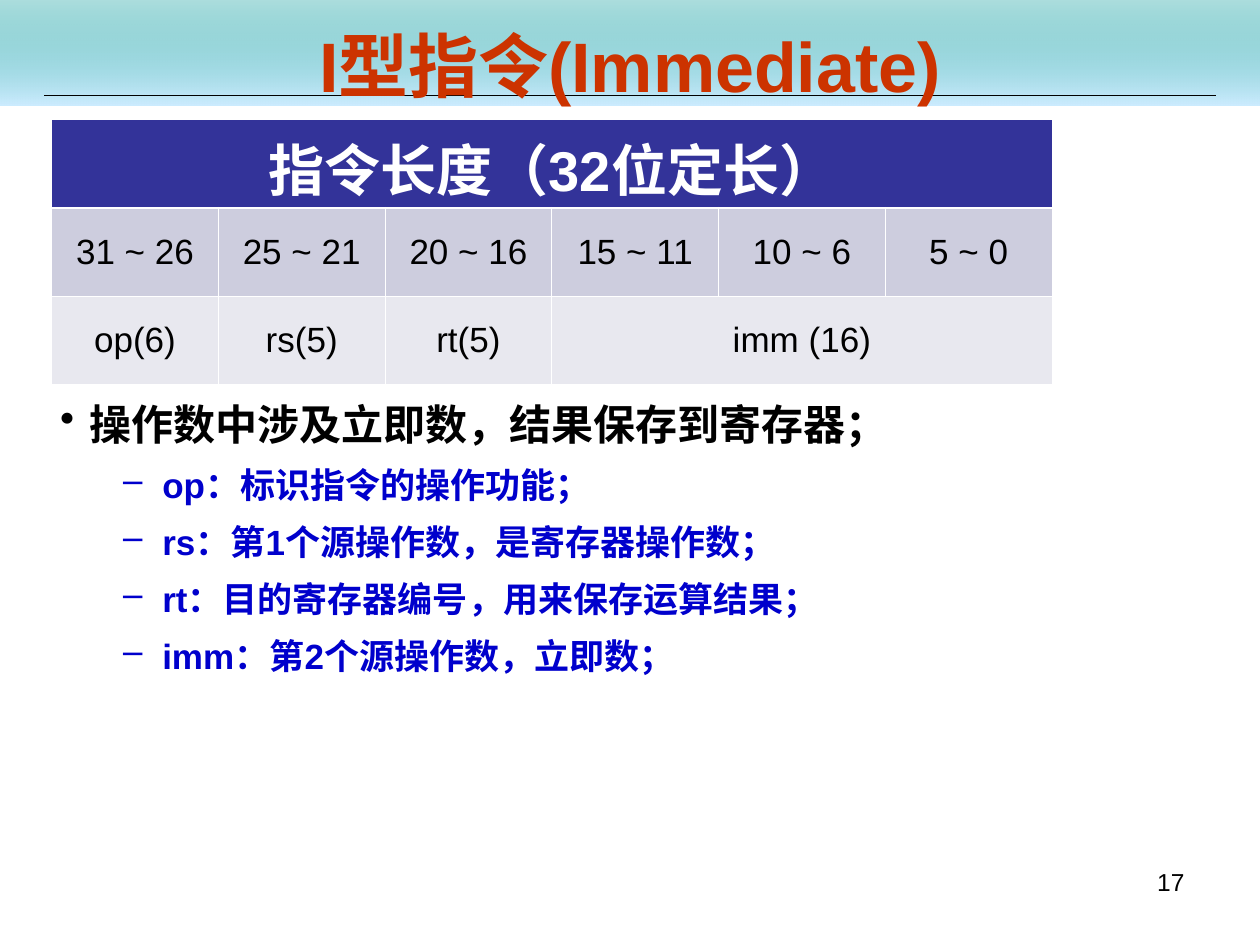
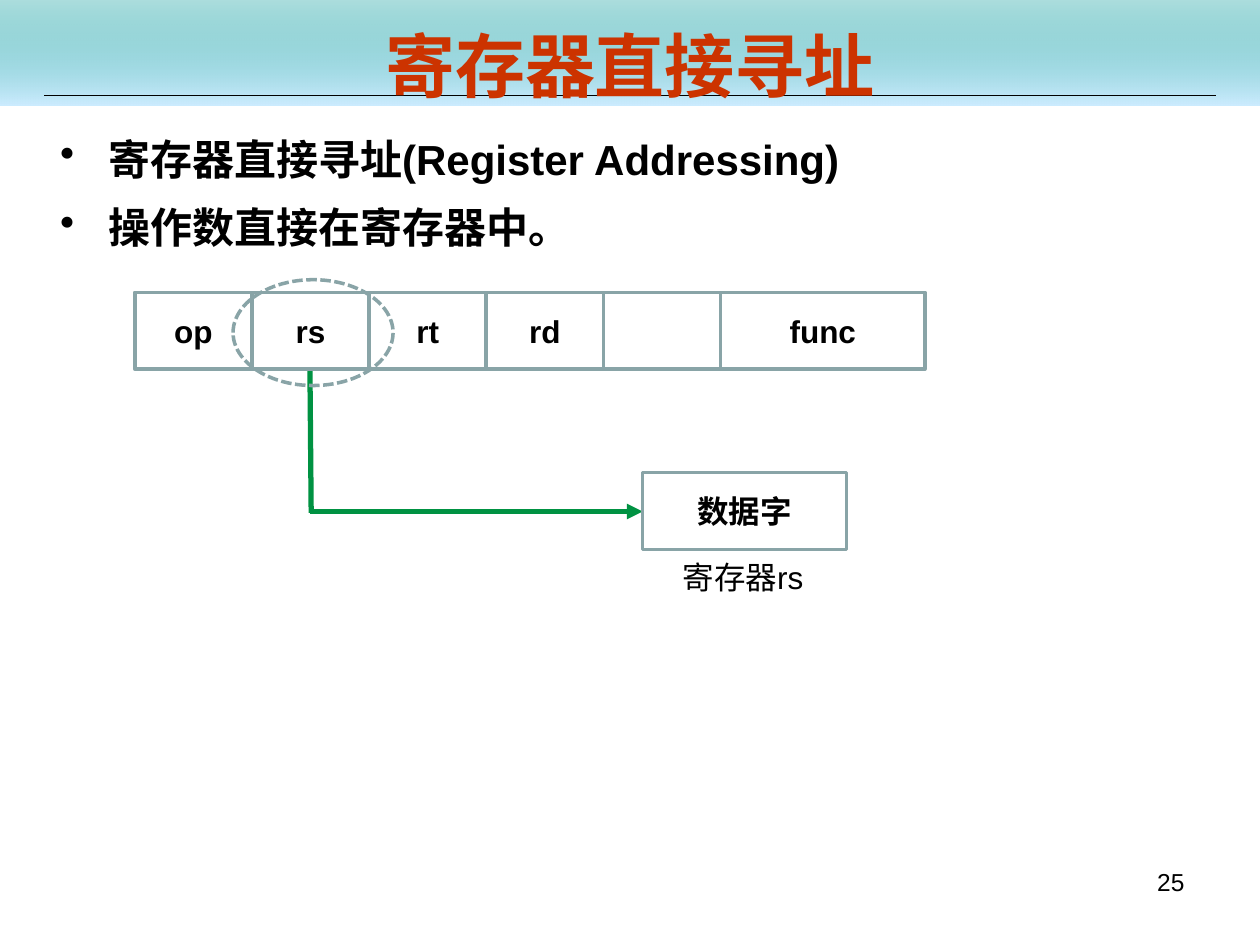
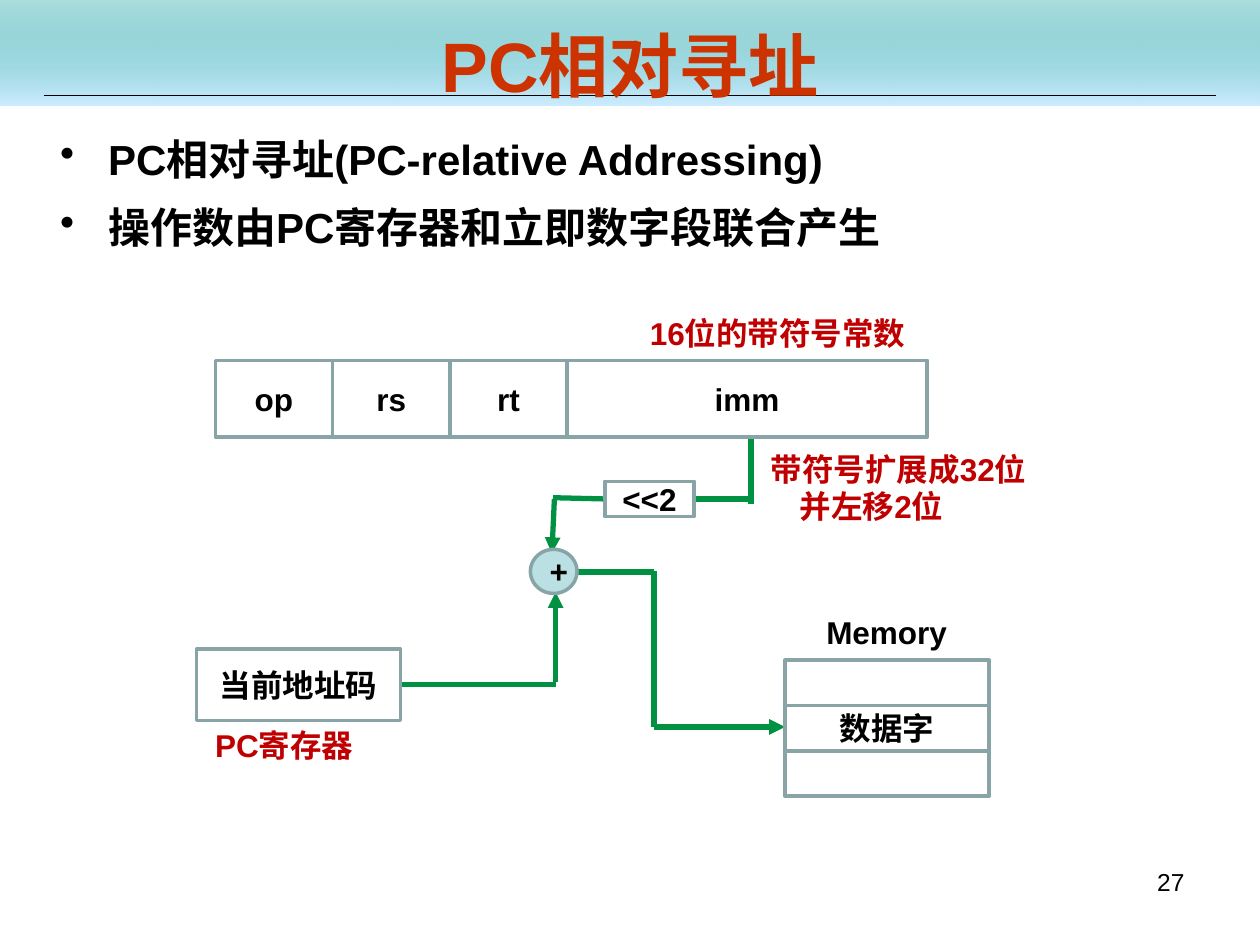
from dataclasses import dataclass

from lxml.etree import SubElement
from pptx import Presentation
from pptx.dml.color import RGBColor
from pptx.enum.dml import MSO_LINE
from pptx.enum.shapes import MSO_CONNECTOR, MSO_SHAPE
from pptx.enum.text import MSO_ANCHOR, MSO_AUTO_SIZE, PP_ALIGN
from pptx.oxml.ns import qn
from pptx.util import Inches, Pt


@dataclass(frozen=True)
class Theme:
    font: str = "Arial"
    title: str = "CC3300"
    text: str = "000000"
    point: str = "0000CC"
    note: str = "C00000"
    edge: str = "89A4A7"
    wire: str = "009242"
    disc: str = "BBE0E3"
    white: str = "FFFFFF"
    sky: tuple = ("009999", "CCECFF")
    rows: tuple = ("333399", "CDCDDE", "E8E8EF")
    huge: int = 40
    large: int = 32
    body: int = 24
    mid: int = 20
    small: int = 18
    tiny: int = 14


T = Theme()
rgb = RGBColor.from_string
WIDE, HIGH = 10, 7.5


def write(frame, text, size, color=T.text, bold=True, align=None):
    frame.text = text
    for para in frame.paragraphs:
        para.alignment = align
        for run in para.runs:
            run.font.name = T.font
            run.font.size = Pt(size)
            run.font.bold = bold
            run.font.color.rgb = rgb(color)


def join(slide, start, end, color, width, arrow=False):
    """Draw a straight line, with an arrowhead at its end if asked."""
    ends = [Inches(n) for n in (*start, *end)]
    line = slide.shapes.add_connector(MSO_CONNECTOR.STRAIGHT, *ends)
    line.line.color.rgb = rgb(color)
    line.line.width = Pt(width)
    if arrow:
        SubElement(line.line._get_or_add_ln(), qn("a:tailEnd"), type="triangle")
    SubElement(line._element.spPr, qn("a:effectLst"))


deck = Presentation()
deck.slide_width, deck.slide_height = Inches(WIDE), Inches(HIGH)

# Slides with their shared band, rule, title, bullets and number.
# A bullet is (level, text); body top and first indent vary by slide.
pages = [
    ("I型指令(Immediate)", "17", 3.05, 0.23, [
        (0, "操作数中涉及立即数，结果保存到寄存器；"),
        (1, "op：标识指令的操作功能；"),
        (1, "rs：第1个源操作数，是寄存器操作数；"),
        (1, "rt：目的寄存器编号，用来保存运算结果；"),
        (1, "imm：第2个源操作数，立即数；")]),
    ("寄存器直接寻址", "25", 0.95, 0.38, [
        (0, "寄存器直接寻址(Register Addressing)"),
        (0, "操作数直接在寄存器中。")]),
    ("PC相对寻址", "27", 0.95, 0.38, [
        (0, "PC相对寻址(PC-relative Addressing)"),
        (0, "操作数由PC寄存器和立即数字段联合产生")]),
]
slides = []
for title, number, top, hang, items in pages:
    slide = deck.slides.add_slide(deck.slide_layouts[6])
    slides.append(slide)

    band = slide.shapes.add_shape(MSO_SHAPE.RECTANGLE, 0, 0, Inches(WIDE), Inches(0.84))
    band.shadow.inherit = False
    band.line.fill.background()
    band.fill.gradient()
    band.fill.gradient_angle = 270
    for stop, color in zip(band.fill.gradient_stops, T.sky):
        stop.color.rgb = rgb(color)
    tint = band._element.spPr.find(".//" + qn("a:srgbClr"))
    SubElement(tint, qn("a:alpha"), val="32000")
    join(slide, (0.35, 0.76), (WIDE - 0.35, 0.76), T.text, 0.75)

    head = slide.shapes.add_textbox(Inches(0.5), Inches(0.21), Inches(WIDE - 1), Inches(0.61))
    head.text_frame.word_wrap = True
    head.text_frame.vertical_anchor = MSO_ANCHOR.MIDDLE
    write(head.text_frame, title, T.huge, T.title, align=PP_ALIGN.CENTER)

    body = slide.shapes.add_textbox(Inches(0.38), Inches(top), Inches(9), Inches(0.58 * len(items)))
    body.text_frame.word_wrap = True
    write(body.text_frame, "\n".join(text for _, text in items), T.body)
    looks = [("•", hang, hang, T.body, T.text, 6), ("–", 0.81, 0.31, T.mid, T.point, 5)]
    for spot, (para, (level, _)) in enumerate(zip(body.text_frame.paragraphs, items)):
        mark, left, back, size, color, gap = looks[level]
        props = para._p.get_or_add_pPr()
        props.set("marL", str(Inches(left)))
        props.set("indent", str(-Inches(back)))
        SubElement(props, qn("a:buChar"), char=mark)
        para.level = level
        para.line_spacing = 1.15
        if spot:
            para.space_before = Pt(gap)
        for run in para.runs:
            run.font.size = Pt(size)
            run.font.color.rgb = rgb(color)

    foot = slide.shapes.add_textbox(Inches(7.17), Inches(6.83), Inches(2.33), Inches(0.52))
    write(foot.text_frame, number, T.tiny, bold=False, align=PP_ALIGN.RIGHT)

first, direct, branch = slides

# Instruction format table
cells = [
    ["指令长度（32位定长）"] + [""] * 5,
    ["31 ~ 26", "25 ~ 21", "20 ~ 16", "15 ~ 11", "10 ~ 6", "5 ~ 0"],
    ["op(6)", "rs(5)", "rt(5)", "imm (16)", "", ""],
]
table = first.shapes.add_table(
    3, 6, Inches(0.41), Inches(0.95), Inches(7.94), Inches(2.1)).table
table.first_row = table.horz_banding = False
table.cell(0, 0).merge(table.cell(0, 5))
table.cell(2, 3).merge(table.cell(2, 5))
for r, row in enumerate(cells):
    for c, text in enumerate(row):
        cell = table.cell(r, c)
        props = cell._tc.get_or_add_tcPr()
        for side in "LRTB":
            thick = (r, side) in [(0, "B"), (1, "T")]
            edge = SubElement(props, qn("a:ln" + side), w=str(Pt(1.47 if thick else 0.45)))
            fill = SubElement(edge, qn("a:solidFill"))
            SubElement(fill, qn("a:srgbClr"), val=T.white)
        cell.fill.solid()
        cell.fill.fore_color.rgb = rgb(T.rows[r])
        cell.vertical_anchor = MSO_ANCHOR.MIDDLE
        size, color = (T.mid, T.text) if r else (T.large, T.white)
        write(cell.text_frame, text, size, color, r == 0, PP_ALIGN.CENTER)

# Wires: slide, start, end, arrow
wires = [
    (direct, (2.46, 2.94), (2.47, 4.07), False),
    (direct, (2.46, 4.06), (5.1, 4.06), True),
    (branch, (3.19, 5.43), (4.41, 5.43), False),
    (branch, (4.41, 5.41), (4.41, 4.7), True),
    (branch, (5.96, 3.48), (5.96, 4), False),
    (branch, (5.98, 3.96), (5.51, 3.96), False),
    (branch, (4.8, 3.96), (4.39, 3.95), False),
    (branch, (4.4, 3.96), (4.38, 4.39), True),
    (branch, (4.59, 4.54), (5.19, 4.54), False),
    (branch, (5.19, 4.53), (5.19, 5.77), False),
    (branch, (5.19, 5.77), (6.23, 5.77), True),
]
for slide, start, end, arrow in wires:
    join(slide, start, end, T.wire, 3, arrow)

# Boxes: slide, preset, left, top, width, height, text
RECT, OVAL, DISC = MSO_SHAPE.RECTANGLE, MSO_SHAPE.OVAL, MSO_SHAPE.FLOWCHART_CONNECTOR
COL, ROW, WORD, SLOT = 0.93, 0.61, 1.62, 0.36
boxes = [
    (direct, RECT, 1.07 + 5 * COL, 2.32, WORD, ROW, "func"),
    (direct, RECT, 5.1, 3.75, WORD, ROW, "数据字"),
    (direct, OVAL, 1.85, 2.22, 1.27, 0.84, ""),
    (branch, RECT, 1.71 + 3 * COL, 2.86, 2.86, ROW, "imm"),
    (branch, RECT, 1.56, 5.15, WORD, 0.57, "当前地址码"),
    (branch, RECT, 4.8, 3.82, 0.71, 0.28, "<<2"),
    (branch, DISC, 4.21, 4.36, 0.37, 0.35, "+"),
]
for slide, left, top, names in [
        (direct, 1.07, 2.32, ["op", "rs", "rt", "rd", ""]),
        (branch, 1.71, 2.86, ["op", "rs", "rt"])]:
    boxes += [(slide, RECT, left + i * COL, top, COL, ROW, name)
              for i, name in enumerate(names)]
boxes += [(branch, RECT, 6.23, 5.24 + i * SLOT, WORD, SLOT, name)
          for i, name in enumerate(["", "数据字", ""])]
for slide, kind, left, top, width, height, text in boxes:
    box = slide.shapes.add_shape(kind, *[Inches(n) for n in (left, top, width, height)])
    box.shadow.inherit = False
    box.line.color.rgb = rgb(T.edge)
    box.line.width = Pt(2)
    box.fill.background()
    if kind == DISC:
        box.fill.solid()
        box.fill.fore_color.rgb = rgb(T.disc)
    if kind == OVAL:
        box.line.dash_style = MSO_LINE.SQUARE_DOT
    if text:
        write(box.text_frame, text, T.small, align=PP_ALIGN.CENTER)

# Labels: slide, left, top, width, height, text, colour, bold
labels = [
    (direct, 5.32, 4.38, 1.22, 0.4, "寄存器rs", T.text, False),
    (branch, 6.46, 4.82, 1.16, 0.4, "Memory", T.text, True),
    (branch, 5.06, 2.44, 2.29, 0.4, "16位的带符号常数", T.note, True),
    (branch, 1.61, 5.71, 1.35, 0.4, "PC寄存器", T.note, True),
    (branch, 6.02, 3.52, 2.35, 0.7, "带符号扩展成32位\n并左移2位", T.note, True),
]
for slide, left, top, width, height, text, color, bold in labels:
    label = slide.shapes.add_textbox(*[Inches(n) for n in (left, top, width, height)])
    label.text_frame.word_wrap = False
    label.text_frame.auto_size = MSO_AUTO_SIZE.SHAPE_TO_FIT_TEXT
    write(label.text_frame, text, T.small, color, bold)
    for para in label.text_frame.paragraphs[1:]:
        para._p.get_or_add_pPr().set("marL", str(Inches(0.23)))

deck.save("out.pptx")
